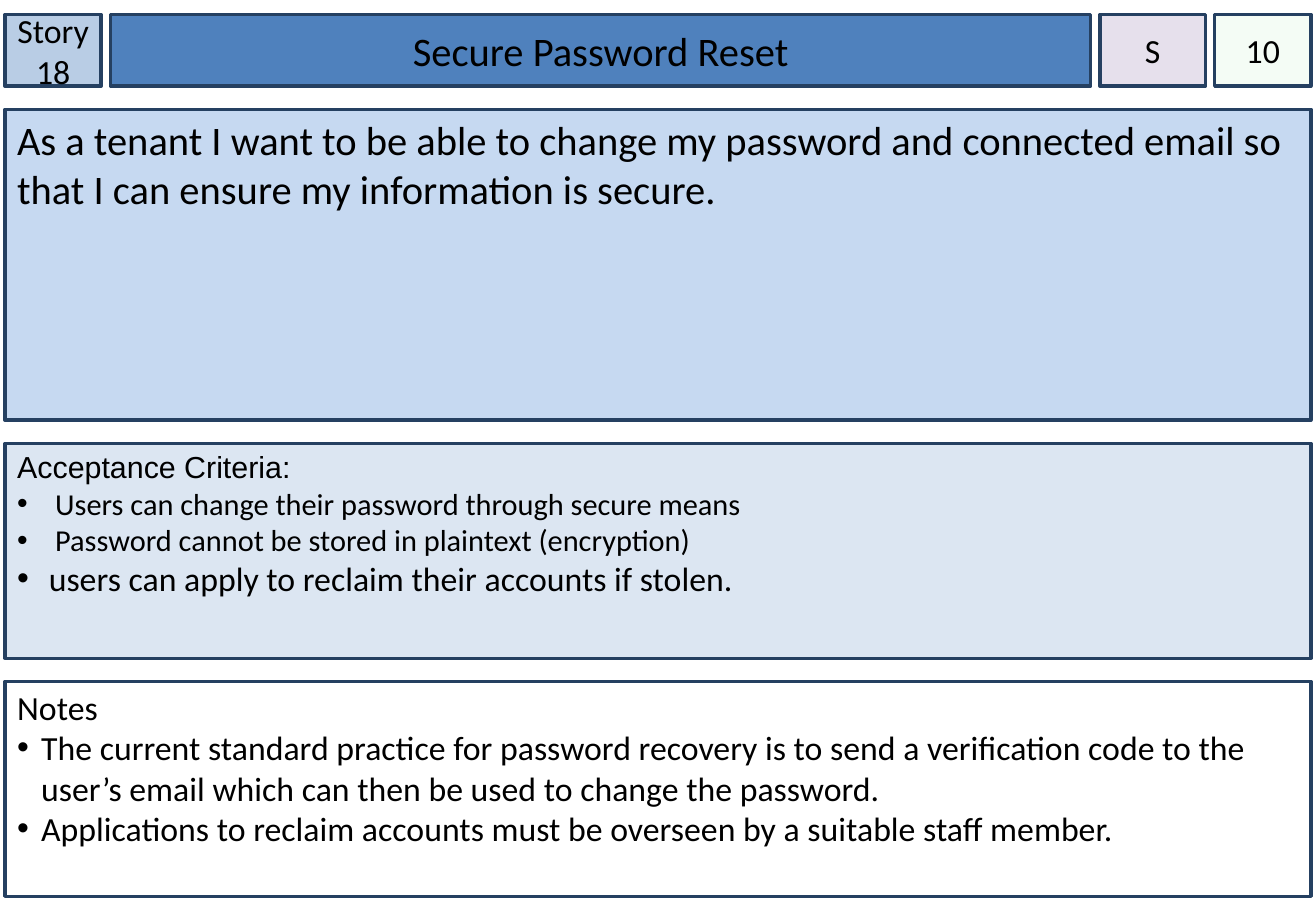
from dataclasses import dataclass

from lxml import etree
from pptx import Presentation
from pptx.dml.color import RGBColor
from pptx.enum.shapes import MSO_SHAPE
from pptx.enum.text import MSO_ANCHOR, MSO_AUTO_SIZE, PP_ALIGN
from pptx.oxml.ns import qn
from pptx.util import Pt

RECT = MSO_SHAPE.RECTANGLE
TOP, MIDDLE = MSO_ANCHOR.TOP, MSO_ANCHOR.MIDDLE
LEFT, CENTER = PP_ALIGN.LEFT, PP_ALIGN.CENTER
NO_FIT = MSO_AUTO_SIZE.NONE


@dataclass(frozen=True)
class Theme:
    font: str = "Calibri"
    alt_font: str = "Arial"
    text: str = "000000"
    edge: str = "254061"
    number: str = "B9CDE5"
    title: str = "4F81BD"
    size: str = "E6E0EC"
    points: str = "CCF0CD"
    story: str = "C6D9F1"
    criteria: str = "DCE6F2"
    notes: str = "FFFFFF"
    large: int = 24
    medium: int = 20
    small: int = 18


THEME = Theme()


def style_panel(sp, box, fill, anchor=TOP, inset_x=7.2, inset_y=3.6):
    """Place a panel and give it the card's fill, edge and text frame."""
    for name, value in zip(("left", "top", "width", "height"), box):
        setattr(sp, name, Pt(value))
    sp.fill.solid()
    sp.fill.fore_color.rgb = RGBColor.from_string(fill)
    sp.line.color.rgb = RGBColor.from_string(THEME.edge)
    sp.line.width = Pt(2)
    frame = {"word_wrap": True, "auto_size": NO_FIT, "vertical_anchor": anchor,
             "margin_left": Pt(inset_x), "margin_right": Pt(inset_x),
             "margin_top": Pt(inset_y), "margin_bottom": Pt(3.6)}
    for name, value in frame.items():
        setattr(sp.text_frame, name, value)


def add_panel(slide, box, fill, **frame):
    sp = slide.shapes.add_shape(RECT, *map(Pt, box))
    sp.shadow.inherit = False
    style_panel(sp, box, fill, **frame)
    return sp


def write(p, text, size, font=THEME.font, align=LEFT):
    p.alignment = align
    p.space_before = Pt(0)
    r = p.add_run()
    r.text = text
    for name, value in {"name": font, "size": Pt(size), "bold": False}.items():
        setattr(r.font, name, value)
    r.font.color.rgb = RGBColor.from_string(THEME.text)


def set_bullet(p, indent):
    """Hang a bullet by the indent; an indent of 0 means no bullet."""
    pPr = p._p.get_or_add_pPr()
    pPr.set("marL", str(Pt(indent)))
    pPr.set("indent", str(Pt(-indent)))
    if indent:
        etree.SubElement(pPr, qn("a:buFont")).set("typeface", "Arial")
        etree.SubElement(pPr, qn("a:buChar")).set("char", "•")
    else:
        etree.SubElement(pPr, qn("a:buNone"))


def header(slide, box, number, title, size, points):
    """Row of number, title, size and points."""
    left, top, width, height = box
    gap, side, size_w = 5.5, 57, 62.5
    title_w = width - 2 * side - size_w - 3 * gap
    cells = [(number, side, THEME.number), (title, title_w, THEME.title),
             (size, size_w, THEME.size), (points, side, THEME.points)]
    for text, cell_w, fill in cells:
        cell = (left, top, cell_w, height)
        if text == title:
            sp = slide.shapes.title
            style_panel(sp, cell, fill, anchor=MIDDLE)
        else:
            sp = add_panel(slide, cell, fill, anchor=MIDDLE, inset_x=0)
        write(sp.text_frame.paragraphs[0], text,
              THEME.large if text == title else THEME.medium, align=CENTER)
        if fill == THEME.points:
            clr = sp.fill._xPr.find(qn("a:solidFill"))[0]
            etree.SubElement(clr, qn("a:alpha")).set("val", "20000")
        left += cell_w + gap


def story(slide, box, text):
    sp = add_panel(slide, box, THEME.story)
    write(sp.text_frame.paragraphs[0], text, THEME.large)


def list_panel(sp, box, fill, lines):
    """Heading and bullets; each line is text, size, indent and font."""
    style_panel(sp, box, fill, inset_y=3)
    tf = sp.text_frame
    for i, (text, size, indent, font) in enumerate(lines):
        p = tf.add_paragraph() if i else tf.paragraphs[0]
        write(p, text, size, font)
        set_bullet(p, indent)


def story_card(prs):
    slide = prs.slides.add_slide(prs.slide_layouts[3])
    criteria, notes = slide.placeholders[1], slide.placeholders[2]
    font, small, medium = THEME.font, THEME.small, THEME.medium

    # Stack the four rows with an equal gap
    left, top, width, gap = 3, 8.6, 774, 13.7
    boxes = []
    for height in (42.5, 184.3, 127.4, 127.4):
        boxes.append((left, top, width, height))
        top += height + gap

    header(slide, boxes[0], "Story 18", "Secure Password Reset", "S", "10")
    story(slide, boxes[1],
          "As a tenant I want to be able to change my password and connected "
          "email so that I can ensure my information is secure.")
    list_panel(criteria, boxes[2], THEME.criteria, [
        ("Acceptance Criteria:", small, 0, THEME.alt_font),
        ("Users can change their password through secure means", small, 22.5, font),
        ("Password cannot be stored in plaintext (encryption)", small, 22.5, font),
        ("users can apply to reclaim their accounts if stolen.", medium, 18.7, font),
    ])
    list_panel(notes, boxes[3], THEME.notes, [
        ("Notes", medium, 0, font),
        ("The current standard practice for password recovery is to send a "
         "verification code to the user’s email which can then be used to "
         "change the password.", medium, 14.2, font),
        ("Applications to reclaim accounts must be overseen by a suitable "
         "staff member.", medium, 14.2, font),
    ])


def main():
    prs = Presentation()
    prs.slide_width, prs.slide_height = Pt(780), Pt(540)
    story_card(prs)
    prs.save("out.pptx")


if __name__ == "__main__":
    main()
